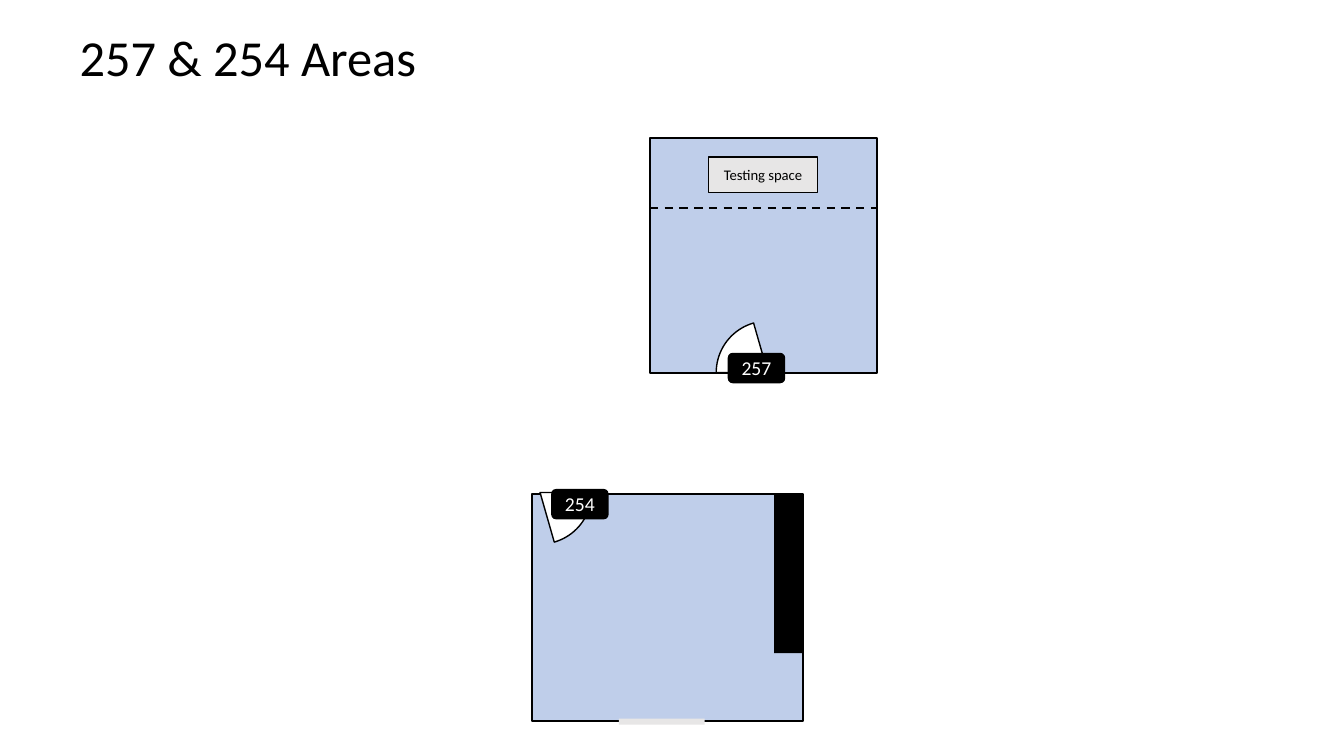
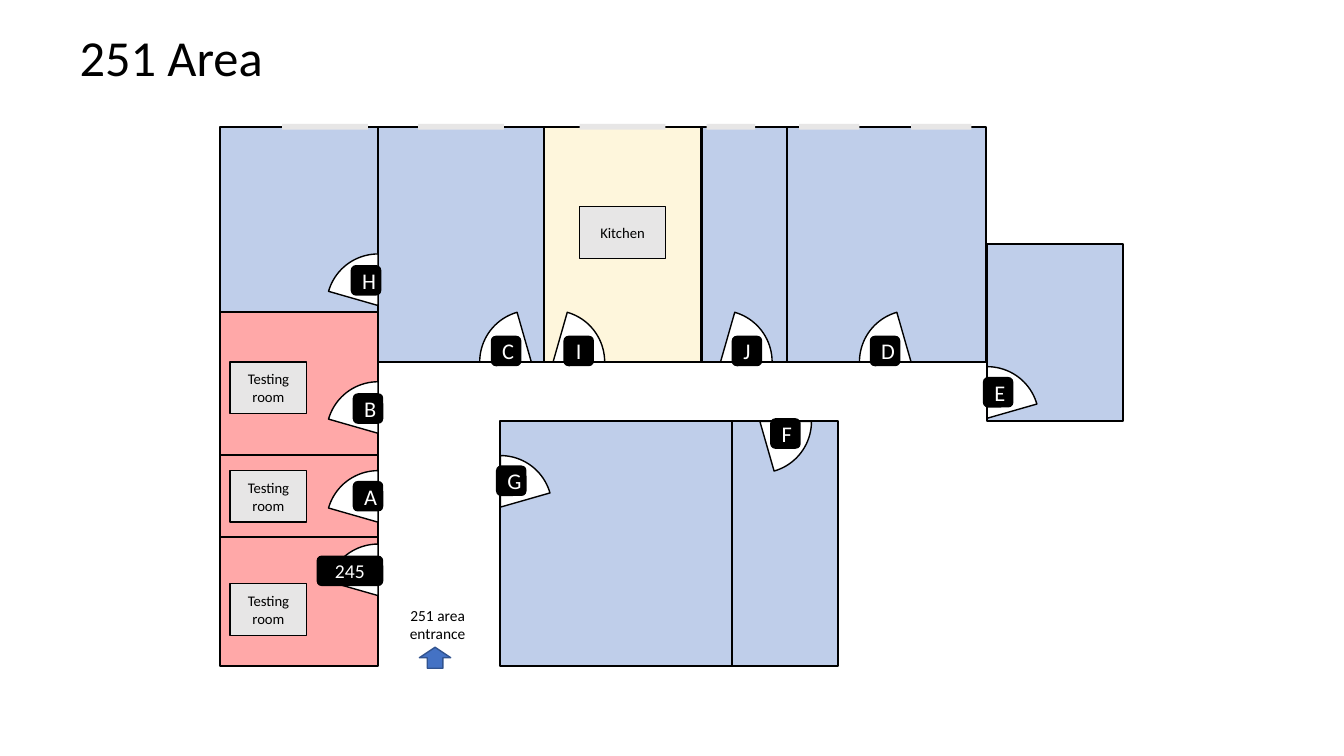
from dataclasses import dataclass
from itertools import pairwise

from pptx import Presentation
from pptx.dml.color import RGBColor
from pptx.enum.dml import MSO_LINE
from pptx.enum.shapes import MSO_CONNECTOR, MSO_SHAPE
from pptx.enum.text import MSO_ANCHOR, MSO_AUTO_SIZE, PP_ALIGN
from pptx.oxml.ns import qn
from pptx.shapes.autoshape import Shape
from pptx.slide import Slide
from pptx.text.text import TextFrame
from pptx.util import Cm, Pt
from lxml.etree import SubElement

BLACK = RGBColor(0x00, 0x00, 0x00)
WHITE = RGBColor(0xFF, 0xFF, 0xFF)
GREY = RGBColor(0xE7, 0xE6, 0xE6)
BLUE = RGBColor(0x44, 0x72, 0xC4)
DARK_BLUE = RGBColor(0x31, 0x53, 0x8F)
YELLOW = RGBColor(0xFE, 0xE5, 0x99)
RED = RGBColor(0xFF, 0x00, 0x00)

FONT = "Calibri"
ROOM_OPACITY = 34
DOOR_DIAMETER = 2.6
DOOR_ANGLES = (180, 254)
TAG_HEIGHT = 0.77
WINDOW_HEIGHT = 0.15


# All measures below are centimetres.
@dataclass(frozen=True)
class Box:
    left: float
    top: float
    width: float
    height: float


@dataclass(frozen=True)
class Room:
    left: float
    top: float
    right: float
    bottom: float
    color: RGBColor = BLUE


@dataclass(frozen=True)
class Door:
    hinge_x: float
    hinge_y: float
    rotation: int = 0
    flipped: bool = False


@dataclass(frozen=True)
class Tag:
    text: str
    left: float
    top: float
    width: float = TAG_HEIGHT


@dataclass(frozen=True)
class Window:
    left: float
    top: float
    width: float = 2.16


@dataclass(frozen=True)
class Label:
    text: str
    box: Box


@dataclass(frozen=True)
class FloorPlan:
    title: str
    rooms: list[Room]
    doors: list[Door]
    tags: list[Tag]
    windows: list[Window]
    labels: list[Label]


TOP_WALL, CORRIDOR_TOP, CORRIDOR_BOTTOM, BOTTOM_WALL = 3.2, 9.12, 10.62, 16.79
WEST_WALL, WEST_CORRIDOR = 5.55, 9.53
WEST_ROOM_WALLS = (7.86, 11.46, 13.53, BOTTOM_WALL)
TOP_ROOM_WALLS = (WEST_CORRIDOR, 13.7, 17.68, 19.84, 24.85)
TOP_ROOM_COLORS = (BLUE, YELLOW, BLUE, BLUE)
CENTRE_ROOM_WALLS = (12.6, 18.44, 21.13)

AREAS_257_254 = FloorPlan(
    title="257 & 254 Areas",
    rooms=[Room(16.38, 3.48, 22.1, 9.4), Room(13.41, 12.45, 20.24, 18.16)],
    doors=[Door(19.35, 9.39), Door(13.61, 12.41, rotation=180)],
    tags=[Tag("257", 18.34, 8.89, 1.45), Tag("254", 13.89, 12.32, 1.45)],
    windows=[Window(15.6, 18.11)],
    labels=[Label("Testing space", Box(17.86, 3.96, 2.74, 0.89))],
)

AREA_251 = FloorPlan(
    title="251 Area",
    rooms=[
        Room(WEST_WALL, TOP_WALL, WEST_CORRIDOR, WEST_ROOM_WALLS[0]),
        *(Room(left, TOP_WALL, right, CORRIDOR_TOP, color)
          for (left, right), color in zip(pairwise(TOP_ROOM_WALLS), TOP_ROOM_COLORS)),
        Room(24.87, 6.15, 28.3, CORRIDOR_BOTTOM),
        *(Room(left, CORRIDOR_BOTTOM, right, BOTTOM_WALL)
          for left, right in pairwise(CENTRE_ROOM_WALLS)),
        *(Room(WEST_WALL, top, WEST_CORRIDOR, bottom, RED)
          for top, bottom in pairwise(WEST_ROOM_WALLS)),
    ],
    doors=[
        Door(13.39, CORRIDOR_TOP),
        Door(13.94, CORRIDOR_TOP, flipped=True),
        *(Door(WEST_CORRIDOR, hinge_y, rotation=270, flipped=True)
          for hinge_y in (7.7, 10.92, 13.16, 15.01)),
        Door(18.16, CORRIDOR_TOP, flipped=True),
        Door(22.96, CORRIDOR_TOP),
        Door(12.61, 12.78, rotation=90),
        Door(19.15, CORRIDOR_BOTTOM, rotation=180),
        Door(24.88, 10.54, rotation=90),
    ],
    tags=[
        Tag("G", 12.5, 11.73),
        Tag("B", 8.89, 9.91),
        Tag("A", 8.89, 12.12),
        Tag("245", 7.98, 14.0, 1.68),
        *(Tag(letter, left, 8.46) for letter, left in
          (("C", 12.37), ("I", 14.2), ("J", 18.44), ("D", 21.92))),
        Tag("H", 8.84, 6.68),
        Tag("E", 24.77, 9.5),
        Tag("F", 19.41, 10.54),
    ],
    windows=[
        *(Window(left, 3.12) for left in (7.11, 10.54, 14.61)),
        Window(17.81, 3.12, 1.22),
        Window(20.14, 3.12, 1.52),
        Window(22.96, 3.12, 1.52),
    ],
    labels=[
        *(Label("Testing room", Box(5.8, top, 1.93, 1.3)) for top in (14.71, 11.86, 9.12)),
        Label("Kitchen", Box(14.61, 5.21, 2.16, 1.3)),
    ],
)


def write_text(text_frame: TextFrame, text: str, size: float, color: RGBColor = BLACK,
               alignment: PP_ALIGN = PP_ALIGN.CENTER,
               anchor: MSO_ANCHOR = MSO_ANCHOR.MIDDLE) -> None:
    text_frame.text = text
    text_frame.word_wrap = True
    text_frame.vertical_anchor = anchor
    paragraph = text_frame.paragraphs[0]
    paragraph.alignment = alignment
    font = paragraph.runs[0].font
    font.name = FONT
    font.size = Pt(size)
    font.color.rgb = color


def add_block(slide: Slide, kind: MSO_SHAPE, box: Box, fill: RGBColor,
              line_width: float = 0, line_color: RGBColor = BLACK) -> Shape:
    """Add a flat filled shape; a line width of zero means no outline."""
    shape = slide.shapes.add_shape(
        kind, Cm(box.left), Cm(box.top), Cm(box.width), Cm(box.height))
    shape.shadow.inherit = False
    shape.fill.solid()
    shape.fill.fore_color.rgb = fill
    if line_width:
        shape.line.color.rgb = line_color
        shape.line.width = Pt(line_width)
    else:
        shape.line.fill.background()
    return shape


def add_room(slide: Slide, room: Room) -> None:
    box = Box(room.left, room.top, room.right - room.left, room.bottom - room.top)
    shape = add_block(slide, MSO_SHAPE.RECTANGLE, box, room.color, line_width=1.5)
    color = shape.element.spPr.find(qn("a:solidFill")).find(qn("a:srgbClr"))
    SubElement(color, qn("a:alpha"), val=str(ROOM_OPACITY * 1000))


def add_door(slide: Slide, door: Door) -> None:
    """Draw the swing of a door as a pie slice whose tip is the hinge."""
    radius = DOOR_DIAMETER / 2
    box = Box(door.hinge_x - radius, door.hinge_y - radius, DOOR_DIAMETER, DOOR_DIAMETER)
    shape = add_block(slide, MSO_SHAPE.PIE, box, WHITE, line_width=1)
    for index, degrees in enumerate(DOOR_ANGLES):
        shape.adjustments[index] = degrees * 0.6
    shape.rotation = door.rotation
    if door.flipped:
        shape.element.spPr.find(qn("a:xfrm")).set("flipH", "1")


def add_tag(slide: Slide, tag: Tag) -> None:
    box = Box(tag.left, tag.top, tag.width, TAG_HEIGHT)
    shape = add_block(slide, MSO_SHAPE.ROUNDED_RECTANGLE, box, BLACK)
    write_text(shape.text_frame, tag.text, 16 if len(tag.text) == 1 else 14, WHITE)


def add_window(slide: Slide, window: Window) -> None:
    box = Box(window.left, window.top, window.width, WINDOW_HEIGHT)
    add_block(slide, MSO_SHAPE.RECTANGLE, box, GREY)


def add_label(slide: Slide, label: Label) -> None:
    shape = add_block(slide, MSO_SHAPE.RECTANGLE, label.box, GREY, line_width=1)
    write_text(shape.text_frame, label.text, 10.5)


def add_title(slide: Slide, text: str) -> None:
    title = slide.shapes.title
    title.left, title.top, title.width, title.height = Cm(1.75), Cm(0.53), Cm(19.3), Cm(1.8)
    write_text(title.text_frame, text, 36, alignment=PP_ALIGN.LEFT, anchor=MSO_ANCHOR.TOP)
    title.text_frame.auto_size = MSO_AUTO_SIZE.NONE


def add_dashed_divider(slide: Slide, left: float, right: float, y: float) -> None:
    connector = slide.shapes.add_connector(
        MSO_CONNECTOR.STRAIGHT, Cm(left), Cm(y), Cm(right), Cm(y))
    connector.line.color.rgb = BLACK
    connector.line.width = Pt(1.5)
    connector.line.dash_style = MSO_LINE.DASH
    SubElement(connector.element.spPr, qn("a:effectLst"))


def add_entrance(slide: Slide) -> None:
    text_box = slide.shapes.add_textbox(Cm(9.47), Cm(15.14), Cm(3.12), Cm(1.68))
    write_text(text_box.text_frame, "251 area entrance", 11, anchor=MSO_ANCHOR.TOP)
    add_block(slide, MSO_SHAPE.UP_ARROW, Box(10.57, 16.31, 0.79, 0.53), BLUE, 1, DARK_BLUE)


def add_floor_plan(presentation: Presentation, plan: FloorPlan) -> Slide:
    slide = presentation.slides.add_slide(presentation.slide_layouts.get_by_name("Title Only"))
    add_title(slide, plan.title)
    for add_part, parts in (
        (add_room, plan.rooms),
        (add_door, plan.doors),
        (add_tag, plan.tags),
        (add_window, plan.windows),
        (add_label, plan.labels),
    ):
        for part in parts:
            add_part(slide, part)
    return slide


def main() -> None:
    presentation = Presentation()
    presentation.slide_width, presentation.slide_height = Cm(33.87), Cm(19.05)

    slide = add_floor_plan(presentation, AREAS_257_254)
    add_dashed_divider(slide, left=16.38, right=22.1, y=5.23)
    add_block(slide, MSO_SHAPE.RECTANGLE, Box(19.51, 12.45, 0.74, 4.01), BLACK)

    slide = add_floor_plan(presentation, AREA_251)
    add_entrance(slide)

    presentation.save("out.pptx")


if __name__ == "__main__":
    main()
